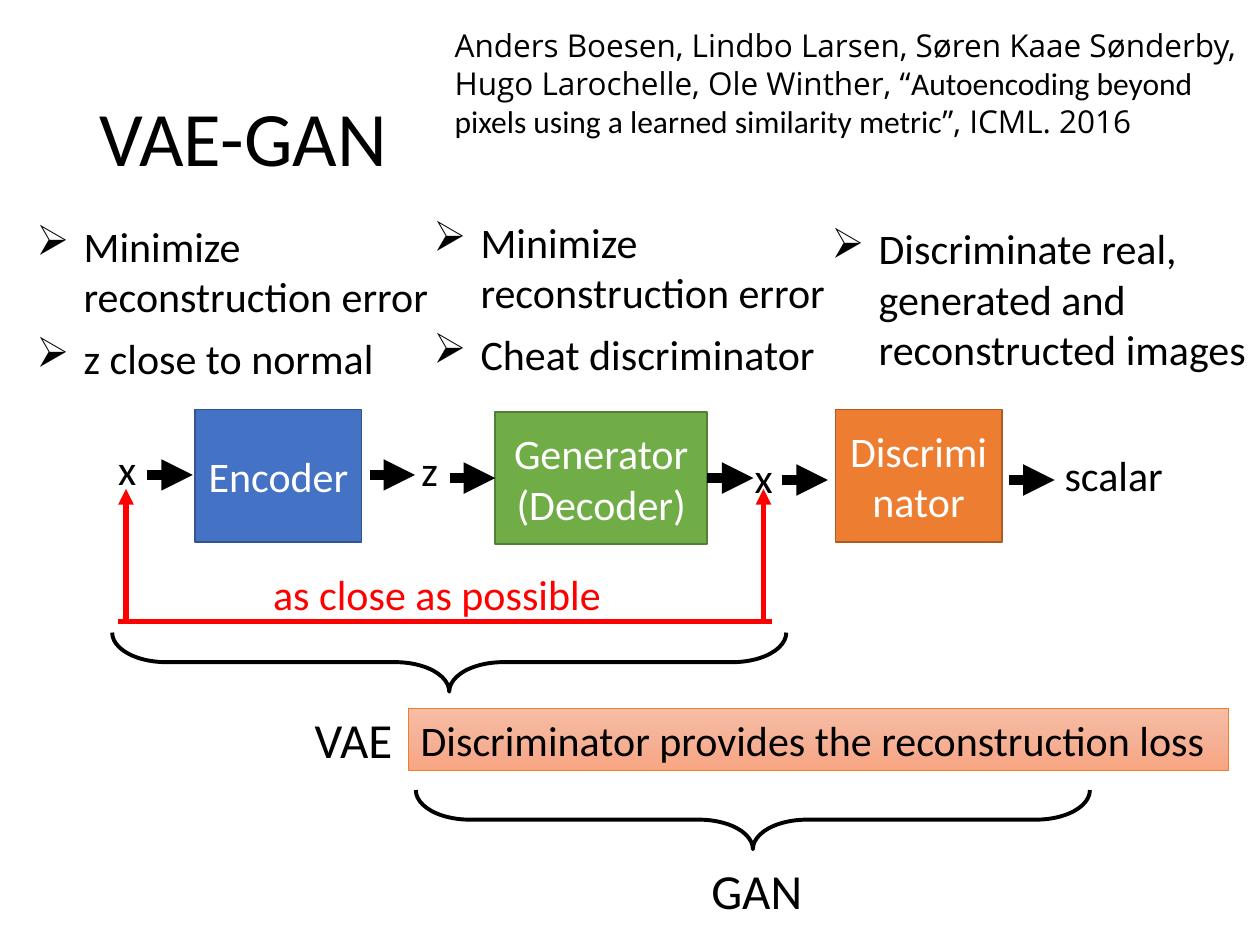
"""Build the VAE-GAN slide."""
from copy import deepcopy
from dataclasses import dataclass
from typing import Any, Optional

from lxml.etree import SubElement
from pptx import Presentation
from pptx.dml.color import RGBColor
from pptx.enum.shapes import MSO_CONNECTOR, MSO_SHAPE
from pptx.enum.text import MSO_ANCHOR, MSO_AUTO_SIZE, PP_ALIGN
from pptx.oxml.ns import qn
from pptx.util import Pt


@dataclass(frozen=True)
class Theme:
    black: str = "000000"
    white: str = "FFFFFF"
    red: str = "FF0000"
    blue: str = "4472C4"
    navy: str = "325491"
    green: str = "70AD47"
    moss: str = "538035"
    orange: str = "ED7D31"
    rust: str = "AF5C24"
    fade: tuple = ((0, "F7BDA5"), (0.5, "F5B196"), (1, "F8A582"))
    font: str = "Calibri"
    cite: str = "Open Sans"
    title: float = 44
    label: float = 28
    body: float = 24
    small: float = 18


@dataclass(frozen=True)
class Box:
    left: float
    top: float
    width: float
    height: float


@dataclass(frozen=True)
class Note:
    text: str
    box: Box
    size: float = Theme.body
    color: str = Theme.black
    mid: bool = False
    mark: bool = False


@dataclass(frozen=True)
class Block:
    text: str
    box: Box
    fill: str
    edge: str


@dataclass(frozen=True)
class Line:
    start: tuple
    end: tuple
    color: str = Theme.black
    width: float = 6
    head: bool = True
    source: Optional[str] = None
    target: Optional[str] = None


T = Theme()
STEP = 26
NOTES = [
    Note("z", Box(229, 250.6, 33.1, 36), mid=True),
    Note("x", Box(419.8, 254.2, 33.1, 36), mid=True),
    Note("scalar", Box(601.2, 253.4, 77.8, 36)),
    Note("x", Box(56.2, 249.8, 33.1, 36), mid=True),
    Note("as close as possible", Box(149, 321.1, 221, 36), color=T.red),
    Note("VAE", Box(135.4, 401.8, 133.2, 41), T.label, mid=True),
    Note("GAN", Box(365.8, 488.2, 133.2, 41), T.label, mid=True),
    Note("Minimize reconstruction error", Box(13.7, 122.4, 243.4, 65.5), mark=True),
    Note("z close to normal", Box(13.7, 186.5, 243.4, 36), mark=True),
    Note("Minimize reconstruction error", Box(240.5, 120.2, 243.4, 65.5), mark=True),
    Note("Cheat discriminator", Box(240.5, 184.3, 243.4, 36), mark=True),
    Note("Discriminate real, generated and reconstructed images",
         Box(468, 123.8, 258.5, 94.3), mark=True),
]
BLOCKS = [
    Block("Discriminator", Box(477.4, 234, 95, 75.6), T.orange, T.rust),
    Block("Generator\n(Decoder)", Box(283, 235.4, 121, 75.6), T.green, T.moss),
    Block("Encoder", Box(111.6, 234, 95, 75.6), T.blue, T.navy),
]
FLOWS = [(84.2, 271.4), (211.2, 271.4), (447.1, 274.3), (576.7, 274.3)]
LINES = [Line((x, y), (x + STEP, y)) for x, y in FLOWS] + [
    Line((257, 273.2), (283, 273.2), target=BLOCKS[1].text),
    Line((404, 273.2), (430.6, 273.2), source=BLOCKS[1].text),
    Line((67.7, 355), (441.4, 355), T.red, 3, head=False),
    Line((72, 354.2), (72, 279.4), T.red, 3),
    Line((436.3, 354.2), (436.3, 279.4), T.red, 3),
]
BRACES = [Box(239.8, 185.8, 33.8, 385.2), Box(413.3, 275.8, 33.8, 385.2)]


def paint(item: Any, values: dict) -> None:
    for name, value in values.items():
        setattr(item, name, value)


def rgb(code: str) -> RGBColor:
    return RGBColor.from_string(code)


def place(box: Box) -> tuple:
    return tuple(Pt(v) for v in (box.left, box.top, box.width, box.height))


def style(run: Any, size: float, color: str, face: str = T.font) -> None:
    paint(run.font, {"size": Pt(size), "name": face})
    run.font.color.rgb = rgb(color)


def write(shape: Any, text: str, size: float, color: str, mid: bool = False,
          **frame: Any) -> None:
    paint(shape.text_frame, {"word_wrap": True, **frame})
    shape.text_frame.text = text
    for par in shape.text_frame.paragraphs:
        par.alignment = PP_ALIGN.CENTER if mid else PP_ALIGN.LEFT
        for run in par.runs:
            style(run, size, color)


def edge(shape: Any, color: str, width: float) -> None:
    shape.shadow.inherit = False
    shape.line.color.rgb = rgb(color)
    shape.line.width = Pt(width)


def draw_note(shapes: Any, note: Note) -> None:
    area = shapes.add_textbox(*place(note.box))
    write(area, note.text, note.size, note.color, note.mid,
          auto_size=MSO_AUTO_SIZE.SHAPE_TO_FIT_TEXT)
    if note.mark:
        props = area.text_frame.paragraphs[0]._p.get_or_add_pPr()
        props.set("marL", str(Pt(27)))
        props.set("indent", str(Pt(-27)))
        SubElement(props, qn("a:buChar")).set("char", "➢")


def draw_block(shapes: Any, block: Block) -> Any:
    shape = shapes.add_shape(MSO_SHAPE.RECTANGLE, *place(block.box))
    shape.fill.solid()
    shape.fill.fore_color.rgb = rgb(block.fill)
    edge(shape, block.edge, 1)
    write(shape, block.text, T.body, T.white, True, vertical_anchor=MSO_ANCHOR.MIDDLE)
    return shape


def draw_line(shapes: Any, line: Line, blocks: dict) -> None:
    ends = [Pt(v) for v in line.start + line.end]
    link = shapes.add_connector(MSO_CONNECTOR.STRAIGHT, *ends)
    if line.source:
        link.begin_connect(blocks[line.source], 3)
    if line.target:
        link.end_connect(blocks[line.target], 1)
    link.line.color.rgb = rgb(line.color)
    link.line.width = Pt(line.width)
    props = link._element.spPr
    if line.head:
        SubElement(props.find(qn("a:ln")), qn("a:tailEnd")).set("type", "triangle")
    SubElement(props, qn("a:effectLst"))


def draw_brace(shapes: Any, box: Box) -> None:
    brace = shapes.add_shape(MSO_SHAPE.RIGHT_BRACE, *place(box))
    brace.rotation = 90
    brace.adjustments[0] = 0.91
    brace.fill.background()
    edge(brace, T.black, 2.25)


def draw_loss(shapes: Any) -> None:
    shape = shapes.add_shape(MSO_SHAPE.RECTANGLE, *place(Box(233.3, 404.6, 468.7, 36)))
    shape.fill.gradient()
    shape.fill.gradient_angle = 270
    stops = shape._element.spPr.find(".//" + qn("a:gsLst"))
    stops.append(deepcopy(stops[0]))
    for stop, (spot, color) in zip(shape.fill.gradient_stops, T.fade):
        stop.position = spot
        stop.color.rgb = rgb(color)
    edge(shape, T.orange, 0.5)
    write(shape, "Discriminator provides the reconstruction loss", T.body, T.black,
          vertical_anchor=MSO_ANCHOR.TOP, auto_size=MSO_AUTO_SIZE.SHAPE_TO_FIT_TEXT)


def draw_cite(shapes: Any) -> None:
    area = shapes.add_textbox(*place(Box(252.7, 11.5, 467.3, 72.7)))
    area.text_frame.word_wrap = True
    par = area.text_frame.paragraphs[0]
    parts = [
        ("Anders Boesen, Lindbo Larsen, Søren Kaae Sønderby, Hugo Larochelle, "
         "Ole Winther, “", T.cite),
        ("Autoencoding beyond pixels using a learned similarity metric", T.font),
        ("”, ICML. 2016", T.cite),
    ]
    for text, face in parts:
        run = par.add_run()
        run.text = text
        style(run, T.small, T.black, face)


def main() -> None:
    deck = Presentation()
    paint(deck, {"slide_width": Pt(720), "slide_height": Pt(540)})
    shapes = deck.slides.add_slide(deck.slide_layouts[6]).shapes
    title = shapes.add_textbox(*place(Box(49.7, 28.8, 620.6, 104.4)))
    write(title, "VAE-GAN", T.title, T.black, vertical_anchor=MSO_ANCHOR.MIDDLE)
    title.text_frame.paragraphs[0].line_spacing = 0.9
    blocks = {block.text: draw_block(shapes, block) for block in BLOCKS}
    for note in NOTES:
        draw_note(shapes, note)
    for line in LINES:
        draw_line(shapes, line, blocks)
    for box in BRACES:
        draw_brace(shapes, box)
    draw_loss(shapes)
    draw_cite(shapes)
    deck.save("out.pptx")


if __name__ == "__main__":
    main()
